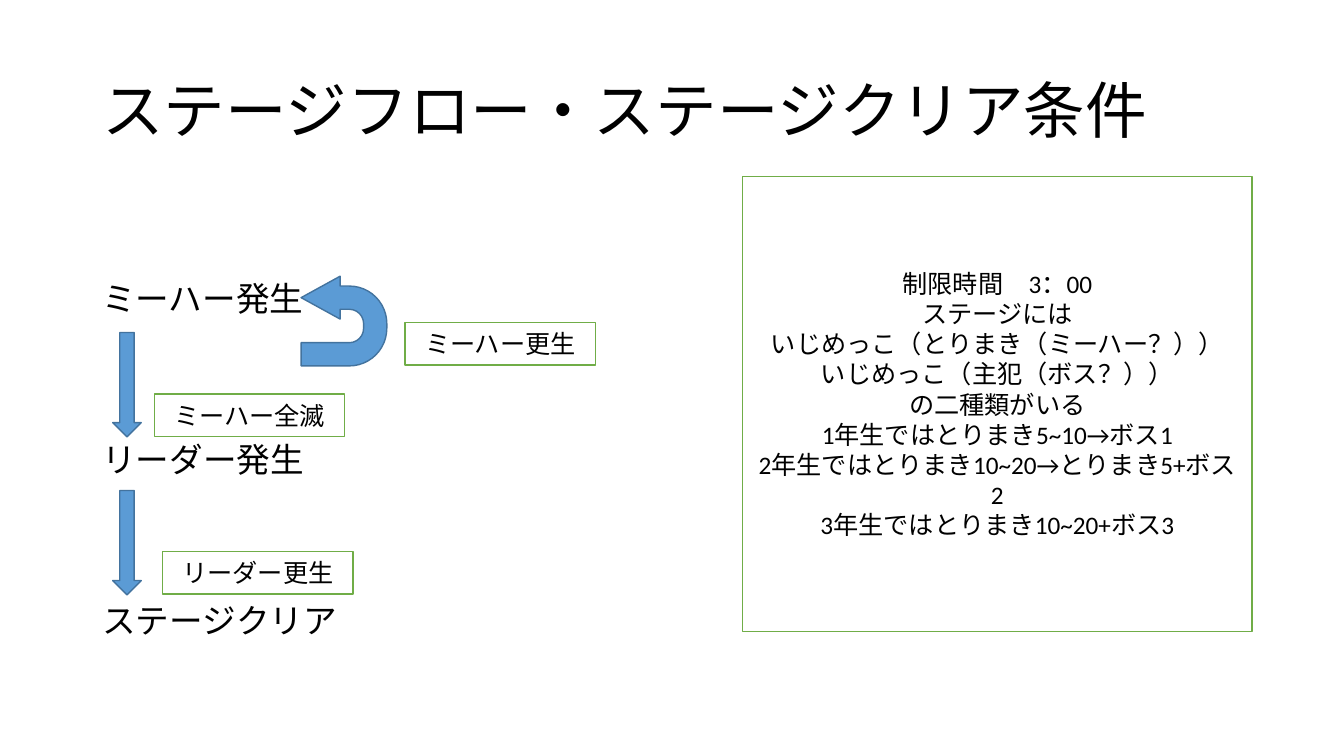
import pptx
import pptx.util
import pptx.dml.color
import pptx.enum.shapes
import pptx.enum.text

Cm = pptx.util.Cm
Pt = pptx.util.Pt
RGBColor = pptx.dml.color.RGBColor
MSO_SHAPE = pptx.enum.shapes.MSO_SHAPE
PP_ALIGN = pptx.enum.text.PP_ALIGN

BLACK = RGBColor(0x00, 0x00, 0x00)
WHITE = RGBColor(0xFF, 0xFF, 0xFF)
GREEN = RGBColor(0x70, 0xAD, 0x47)
BLUE = RGBColor(0x5B, 0x9B, 0xD5)
DARK_BLUE = RGBColor(0x43, 0x73, 0x9E)


def write(sp, paragraphs, size=18, align=PP_ALIGN.LEFT, line=1.0, gap=0):
    tf = sp.text_frame
    tf.word_wrap = True
    tf.vertical_anchor = pptx.enum.text.MSO_ANCHOR.MIDDLE
    for i, text in enumerate(paragraphs):
        p = tf.add_paragraph() if i else tf.paragraphs[0]
        p.text = text
        p.alignment = align
        p.line_spacing = line
        p.space_before = Pt(gap if i else 0)
        for r in p.runs:
            r.font.name = "Calibri"
            r.font.size = Pt(size)
            r.font.color.rgb = BLACK


def add_shape(s, kind, x, y, w, h, fill, line):
    sp = s.shapes.add_shape(kind, Cm(x), Cm(y), Cm(w), Cm(h))
    sp.shadow.inherit = False
    sp.fill.solid()
    sp.fill.fore_color.rgb = fill
    sp.line.color.rgb = line
    sp.line.width = Pt(1)
    return sp


prs = pptx.Presentation()
prs.slide_width = Cm(33.87)
prs.slide_height = Cm(19.05)
s = prs.slides.add_slide(prs.slide_layouts[6])

title = s.shapes.add_textbox(Cm(2.33), Cm(1.01), Cm(29.21), Cm(3.68))
write(title, ["ステージフロー・ステージクリア条件"], size=44, line=0.9)

steps = s.shapes.add_textbox(Cm(2.33), Cm(4.7), Cm(29.21), Cm(13.74))
write(steps, ["ミーハー発生", "リーダー発生", "ステージクリア"], size=24, gap=86.4)

for y in (8.38, 12.36):
    arrow = add_shape(s, MSO_SHAPE.DOWN_ARROW, 2.84, y, 0.72, 2.63, BLUE, DARK_BLUE)

uturn = add_shape(s, MSO_SHAPE.U_TURN_ARROW, 7.54, 7.01, 2.26, 2.16, BLUE, DARK_BLUE)
uturn.rotation = 90
uturn._element.spPr.xfrm.set("flipH", "1")
for i, value in enumerate((0.271, 0.25, 0.455, 0.438, 1)):
    uturn.adjustments[i] = value

conditions = [
    ("ミーハー全滅", 3.89, 9.93),
    ("ミーハー更生", 10.21, 8.13),
    ("リーダー更生", 4.1, 13.9),
]
for text, x, y in conditions:
    sp = add_shape(s, MSO_SHAPE.RECTANGLE, x, y, 4.8, 1.07, WHITE, GREEN)
    write(sp, [text], align=PP_ALIGN.CENTER)

rules = [
    "ステージには",
    "いじめっこ（とりまき（ミーハー？））",
    "いじめっこ（主犯（ボス？））",
    "の二種類がいる",
    "1年生ではとりまき5~10→ボス1",
    "2年生ではとりまき10~20→とりまき5+ボス2",
    "3年生ではとりまき10~20+ボス3",
]
panel = add_shape(s, MSO_SHAPE.RECTANGLE, 18.72, 4.45, 12.83, 11.46, WHITE, GREEN)
write(panel, ["制限時間　3：00", "\v".join(rules)], align=PP_ALIGN.CENTER)

prs.save("out.pptx")
